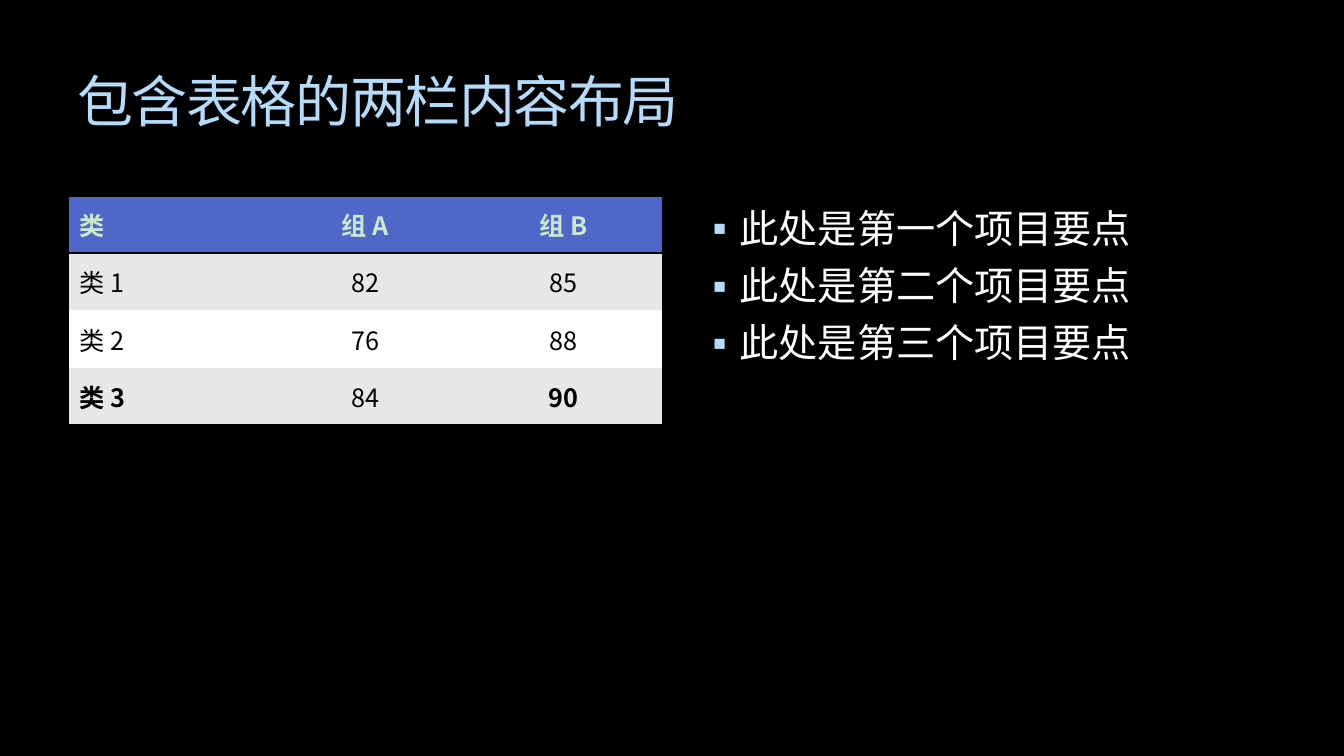
from dataclasses import dataclass

from lxml.etree import SubElement
from pptx import Presentation
from pptx.dml.color import RGBColor as Color
from pptx.enum.text import MSO_ANCHOR as Anchor, PP_ALIGN as Align
from pptx.oxml.ns import qn
from pptx.util import Cm, Pt


@dataclass(frozen=True)
class Theme:
    font: str = "Noto Sans CJK SC"
    background: str = "000000"
    accent: str = "B4DCFA"
    body_text: str = "FFFFFF"
    header_text: str = "CCE8CF"
    header_fill: str = "4E67C8"
    cell_text: str = "000000"
    band_fills: tuple = ("E7E7E7", "FFFFFF")
    border: str = "000000"
    title_size: int = 40
    bullet_size: int = 28
    table_size: int = 18


@dataclass(frozen=True)
class Box:
    left: float
    top: float
    width: float
    height: float

    def lengths(self):
        return [Cm(value) for value in (self.left, self.top, self.width, self.height)]


THEME = Theme()
TITLE = "包含表格的两栏内容布局"
BULLETS = ["此处是第一个项目要点", "此处是第二个项目要点", "此处是第三个项目要点"]
ROWS = [
    ("类", "组 A", "组 B"),
    ("类 1", "82", "85"),
    ("类 2", "76", "88"),
    ("类 3", "84", "90"),
]
BOLD_VALUES = {"类 3", "90"}
TITLE_BOX = Box(1.7, 1.42, 30.48, 2.54)
TABLE_BOX = Box(1.73, 4.93, 14.96, 5.79)
BULLET_BOX = Box(17.25, 4.93, 14.96, 12.57)
CELL_FORMAT = {
    "margin_left": Cm(0.28),
    "margin_right": Cm(0.28),
    "margin_top": Cm(0.13),
    "margin_bottom": Cm(0.13),
    "vertical_anchor": Anchor.MIDDLE,
}
NO_TABLE_STYLE = "{2D5ABB26-0587-4C30-8999-92F81FD0307C}"


def apply_format(target, values: dict) -> None:
    for name, value in values.items():
        setattr(target, name, value)


def add_run(paragraph, text: str, size: int, color: str, bold: bool = False):
    run = paragraph.add_run()
    run.text = text
    apply_format(run.font, {"size": Pt(size), "bold": bold, "name": THEME.font})
    run.font.color.rgb = Color.from_string(color)
    SubElement(run.font._element, qn("a:ea"), typeface=THEME.font)
    return run


def add_text_frame(slide, box: Box):
    frame = slide.shapes.add_textbox(*box.lengths()).text_frame
    apply_format(frame, {"word_wrap": True, "vertical_anchor": Anchor.TOP})
    return frame


def add_title(slide) -> None:
    paragraph = add_text_frame(slide, TITLE_BOX).paragraphs[0]
    paragraph.line_spacing = Pt(52)
    run = add_run(paragraph, TITLE, THEME.title_size, THEME.accent)
    run.font._element.set("spc", "-100")


def set_bullet(paragraph) -> None:
    properties = paragraph._p.get_or_add_pPr()
    properties.set("marL", str(Cm(1.14)))
    properties.set("indent", str(Cm(-0.97)))
    color = SubElement(properties, qn("a:buClr"))
    SubElement(color, qn("a:srgbClr"), val=THEME.accent)
    SubElement(properties, qn("a:buSzPct"), val="95000")
    SubElement(properties, qn("a:buFont"), typeface=THEME.font)
    SubElement(properties, qn("a:buChar"), char="▪")


def add_bullets(slide) -> None:
    frame = add_text_frame(slide, BULLET_BOX)
    for index, text in enumerate(BULLETS):
        paragraph = frame.add_paragraph() if index else frame.paragraphs[0]
        set_bullet(paragraph)
        spacing = {"line_spacing": Pt(36), "space_before": Pt(5 if index else 0)}
        apply_format(paragraph, spacing)
        add_run(paragraph, text, THEME.bullet_size, THEME.body_text)


def set_borders(cell, sides: str) -> None:
    """Draw borders on the given sides, named by the letters T and B."""
    properties = cell._tc.get_or_add_tcPr()
    for position, side in enumerate(sides):
        line = SubElement(properties, qn(f"a:ln{side}"), w=str(Pt(2)))
        fill = SubElement(line, qn("a:solidFill"))
        SubElement(fill, qn("a:srgbClr"), val=THEME.border)
        properties.insert(position, line)


def add_score_table(slide) -> None:
    frame = slide.shapes.add_table(len(ROWS), len(ROWS[0]), *TABLE_BOX.lengths())
    table = frame.table
    table._tbl.tblPr.find(qn("a:tableStyleId")).text = NO_TABLE_STYLE
    borders = {0: "TB", len(ROWS) - 1: "B"}
    for row, values in enumerate(ROWS):
        header = row == 0
        fill = THEME.header_fill if header else THEME.band_fills[(row - 1) % 2]
        color = THEME.header_text if header else THEME.cell_text
        for column, text in enumerate(values):
            cell = table.cell(row, column)
            apply_format(cell, CELL_FORMAT)
            cell.fill.solid()
            cell.fill.fore_color.rgb = Color.from_string(fill)
            set_borders(cell, borders.get(row, ""))
            paragraph = cell.text_frame.paragraphs[0]
            paragraph.alignment = Align.CENTER if column else Align.LEFT
            bold = header or text in BOLD_VALUES
            add_run(paragraph, text, THEME.table_size, color, bold)


def main() -> None:
    presentation = Presentation()
    apply_format(presentation, {"slide_width": Cm(33.87), "slide_height": Cm(19.05)})
    slide = presentation.slides.add_slide(presentation.slide_layouts[6])
    slide.background.fill.solid()
    slide.background.fill.fore_color.rgb = Color.from_string(THEME.background)
    add_title(slide)
    add_score_table(slide)
    add_bullets(slide)
    presentation.save("out.pptx")


if __name__ == "__main__":
    main()
